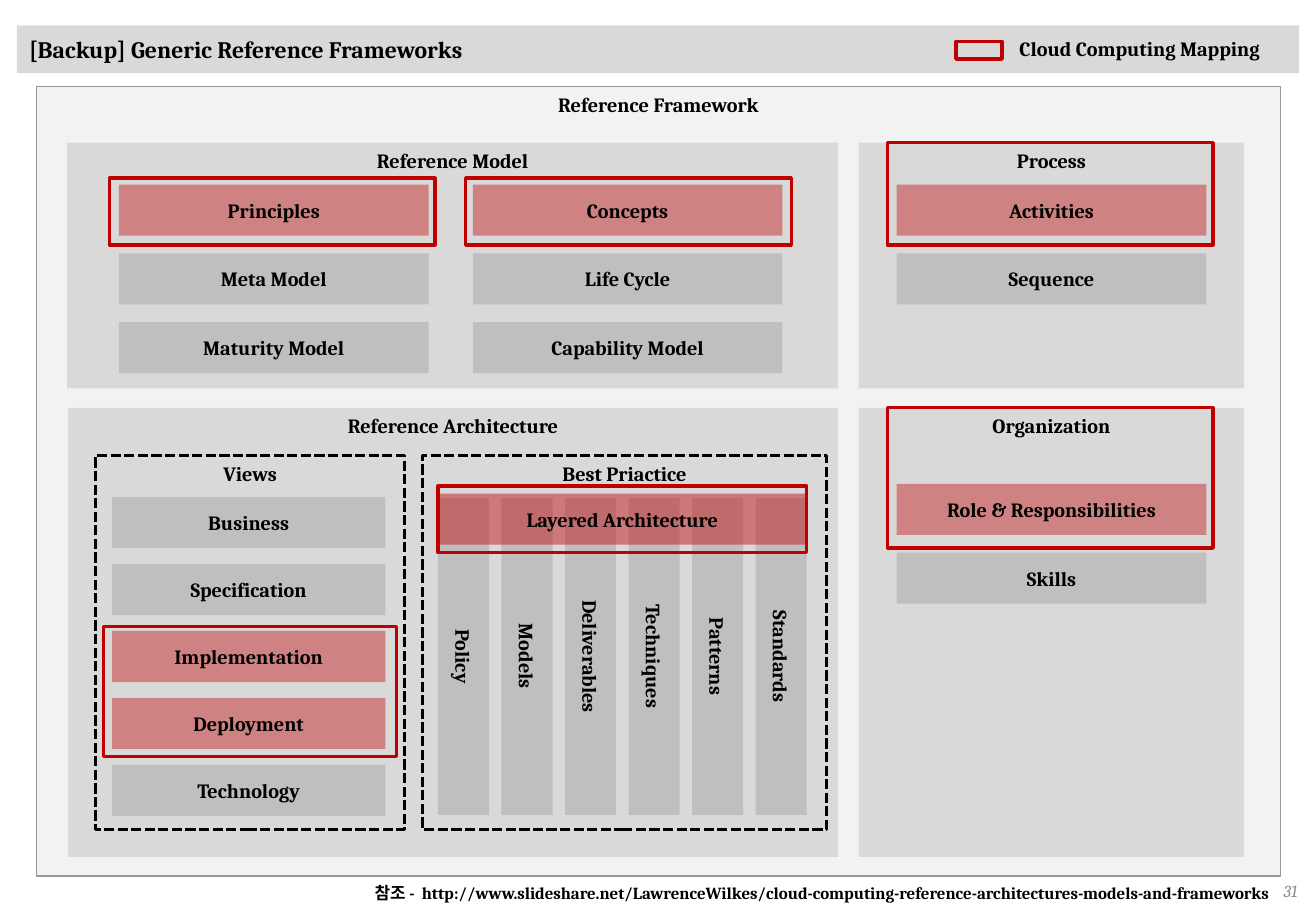
"""Build the generic reference frameworks slide with its cloud computing mapping."""
from dataclasses import dataclass
from typing import Optional

from lxml.etree import SubElement
from pptx import Presentation
from pptx.dml.color import RGBColor
from pptx.enum.dml import MSO_LINE
from pptx.enum.shapes import MSO_SHAPE
from pptx.enum.text import MSO_ANCHOR, MSO_AUTO_SIZE, PP_ALIGN
from pptx.oxml.ns import qn
from pptx.shapes.autoshape import Shape
from pptx.slide import Slide
from pptx.text.text import TextFrame
from pptx.util import Pt


@dataclass(frozen=True)
class Theme:
    font: str = "Cambria"
    ink: str = "000000"
    muted: str = "8C8C8C"
    frame: str = "F2F2F2"
    frame_line: str = "969696"
    panel: str = "D9D9D9"
    box: str = "BFBFBF"
    mapped: str = "C00000"
    title_size: float = 14
    label_size: float = 12
    footer_size: float = 10


@dataclass(frozen=True)
class Area:
    left: float
    top: float
    width: float
    height: float


@dataclass(frozen=True)
class Panel:
    heading: str
    area: Area
    fill: Optional[str] = None
    line: Optional[str] = None
    line_width: float = 2
    dashed: bool = False


@dataclass(frozen=True)
class Stack:
    left: float
    top: float
    width: float
    pitch: float
    labels: tuple[str, ...]


THEME = Theme()
BOX_HEIGHT = 30.3
HEADING_WIDTH, HEADING_HEIGHT = 147.6, 21.6
BOX_WIDTH, BOX_PITCH = 183.6, 40.75
BAR_LENGTH, BAR_PITCH = 188, 37.65

PANELS = (
    Panel("Reference Framework", Area(21.6, 51.3, 737.3, 468), THEME.frame, THEME.frame_line, 0.75),
    Panel("Reference Model", Area(39.8, 84.5, 457, 145.8), THEME.panel),
    Panel("Process", Area(509, 84.5, 228.4, 145.8), THEME.panel),
    Panel("Organization", Area(509, 241.7, 228.4, 266.2), THEME.panel),
    Panel("Reference Architecture", Area(40.3, 241.7, 456.5, 266.2), THEME.panel),
    Panel("Views", Area(56.7, 270, 183, 221.6), line=THEME.ink, dashed=True),
    Panel("Best Priactice", Area(250.4, 270, 239.6, 221.6), line=THEME.ink, dashed=True),
)
STACKS = (
    Stack(70.5, 109.4, BOX_WIDTH, BOX_PITCH, ("Principles", "Meta Model", "Maturity Model")),
    Stack(280.2, 109.4, BOX_WIDTH, BOX_PITCH, ("Concepts", "Life Cycle", "Capability Model")),
    Stack(531.5, 109.4, BOX_WIDTH, BOX_PITCH, ("Activities", "Sequence")),
    Stack(531.5, 286.8, BOX_WIDTH, BOX_PITCH, ("Role & Responsibilities", "Skills")),
    Stack(66.4, 294.6, 162, 39.7,
          ("Business", "Specification", "Implementation", "Deployment", "Technology")),
)
MAPPED_LABELS = {"Principles", "Concepts", "Activities", "Role & Responsibilities",
                 "Implementation", "Deployment"}
PRACTICES = ("Policy", "Models", "Deliverables", "Techniques", "Patterns", "Standards")
MAPPING_OUTLINES = (
    Area(566.6, 24.6, 27.4, 10.4),
    Area(64.8, 105.6, 193, 39.6),
    Area(276, 105.6, 193, 39.6),
    Area(526, 84.6, 193, 60.6),
    Area(526, 241.7, 193, 83.2),
    Area(259.7, 288, 218.3, 39.5),
    Area(61.4, 371.3, 173.6, 77),
)


def write_text(frame: TextFrame, text: str, align: PP_ALIGN, size: float = THEME.label_size,
               color: str = THEME.ink, bold: bool = True, italic: bool = False) -> None:
    frame.text = text
    paragraph = frame.paragraphs[0]
    paragraph.alignment = align
    for run in paragraph.runs:
        font = run.font
        font.name, font.size = THEME.font, Pt(size)
        font.bold, font.italic = bold, italic
        font.color.rgb = RGBColor.from_string(color)


def add_text(slide: Slide, area: Area, text: str, align: PP_ALIGN = PP_ALIGN.CENTER,
             wrap: bool = True, **style) -> TextFrame:
    text_box = slide.shapes.add_textbox(
        Pt(area.left), Pt(area.top), Pt(area.width), Pt(area.height))
    text_box.text_frame.word_wrap = wrap
    write_text(text_box.text_frame, text, align, **style)
    return text_box.text_frame


def add_rectangle(slide: Slide, area: Area, fill: Optional[str] = None, opacity: int = 100,
                  line: Optional[str] = None, line_width: float = 2) -> Shape:
    shape = slide.shapes.add_shape(
        MSO_SHAPE.RECTANGLE, Pt(area.left), Pt(area.top), Pt(area.width), Pt(area.height))
    shape.shadow.inherit = False
    if fill:
        shape.fill.solid()
        shape.fill.fore_color.rgb = RGBColor.from_string(fill)
        if opacity < 100:
            color = shape.fill._xPr.find(qn("a:solidFill"))[0]
            SubElement(color, qn("a:alpha")).set("val", str(opacity * 1000))
    else:
        shape.fill.background()
    if line:
        shape.line.color.rgb = RGBColor.from_string(line)
        shape.line.width = Pt(line_width)
    else:
        shape.line.fill.background()
    return shape


def add_box(slide: Slide, area: Area, label: str, fill: str = THEME.box,
            opacity: int = 100) -> Shape:
    shape = add_rectangle(slide, area, fill, opacity)
    shape.text_frame.vertical_anchor = MSO_ANCHOR.MIDDLE
    write_text(shape.text_frame, label, PP_ALIGN.CENTER)
    return shape


def add_panel(slide: Slide, panel: Panel) -> None:
    area = panel.area
    shape = add_rectangle(slide, area, panel.fill, line=panel.line, line_width=panel.line_width)
    if panel.dashed:
        shape.line.dash_style = MSO_LINE.SQUARE_DOT
    left = area.left + (area.width - HEADING_WIDTH) / 2
    add_text(slide, Area(left, area.top, HEADING_WIDTH, HEADING_HEIGHT), panel.heading)


def add_stack(slide: Slide, stack: Stack) -> None:
    for row, label in enumerate(stack.labels):
        area = Area(stack.left, stack.top + row * stack.pitch, stack.width, BOX_HEIGHT)
        if label in MAPPED_LABELS:
            add_box(slide, area, label, THEME.mapped, 40)
        else:
            add_box(slide, area, label)


def format_title(slide: Slide) -> None:
    title = slide.shapes.title
    title.left, title.top, title.width, title.height = Pt(10), Pt(15), Pt(760), Pt(28.4)
    title.fill.solid()
    title.fill.fore_color.rgb = RGBColor.from_string(THEME.panel)
    title.text_frame.auto_size = MSO_AUTO_SIZE.NONE
    title.text_frame.vertical_anchor = MSO_ANCHOR.MIDDLE
    write_text(title.text_frame, "[Backup] Generic Reference Frameworks", PP_ALIGN.LEFT,
               size=THEME.title_size)


def main() -> None:
    presentation = Presentation()
    presentation.slide_width, presentation.slide_height = Pt(780), Pt(540)
    slide = presentation.slides.add_slide(presentation.slide_layouts[5])
    format_title(slide)
    for panel in PANELS:
        add_panel(slide, panel)
    for stack in STACKS:
        add_stack(slide, stack)
    for column, practice in enumerate(PRACTICES):
        area = Area(180.7 + column * BAR_PITCH, 374, BAR_LENGTH, BOX_HEIGHT)
        add_box(slide, area, practice).rotation = 90
    add_box(slide, Area(259.7, 292.6, 218.3, BOX_HEIGHT), "Layered Architecture",
            THEME.mapped, 44)
    for outline in MAPPING_OUTLINES:
        add_rectangle(slide, outline, line=THEME.mapped)
    add_text(slide, Area(597.2, 18, 161.3, 21.6), "Cloud Computing Mapping",
             PP_ALIGN.LEFT, wrap=False)
    add_text(slide, Area(21.6, 519.8, 737.3, 19.4),
             "참조 -  http://www.slideshare.net/LawrenceWilkes/"
             "cloud-computing-reference-architectures-models-and-frameworks",
             PP_ALIGN.RIGHT, size=THEME.footer_size)
    page_number = add_text(slide, Area(594, 519.1, 182.2, 17.3), "31", PP_ALIGN.RIGHT,
                           size=THEME.footer_size, color=THEME.muted, bold=False, italic=True)
    page_number.vertical_anchor = MSO_ANCHOR.MIDDLE
    presentation.save("out.pptx")


if __name__ == "__main__":
    main()
